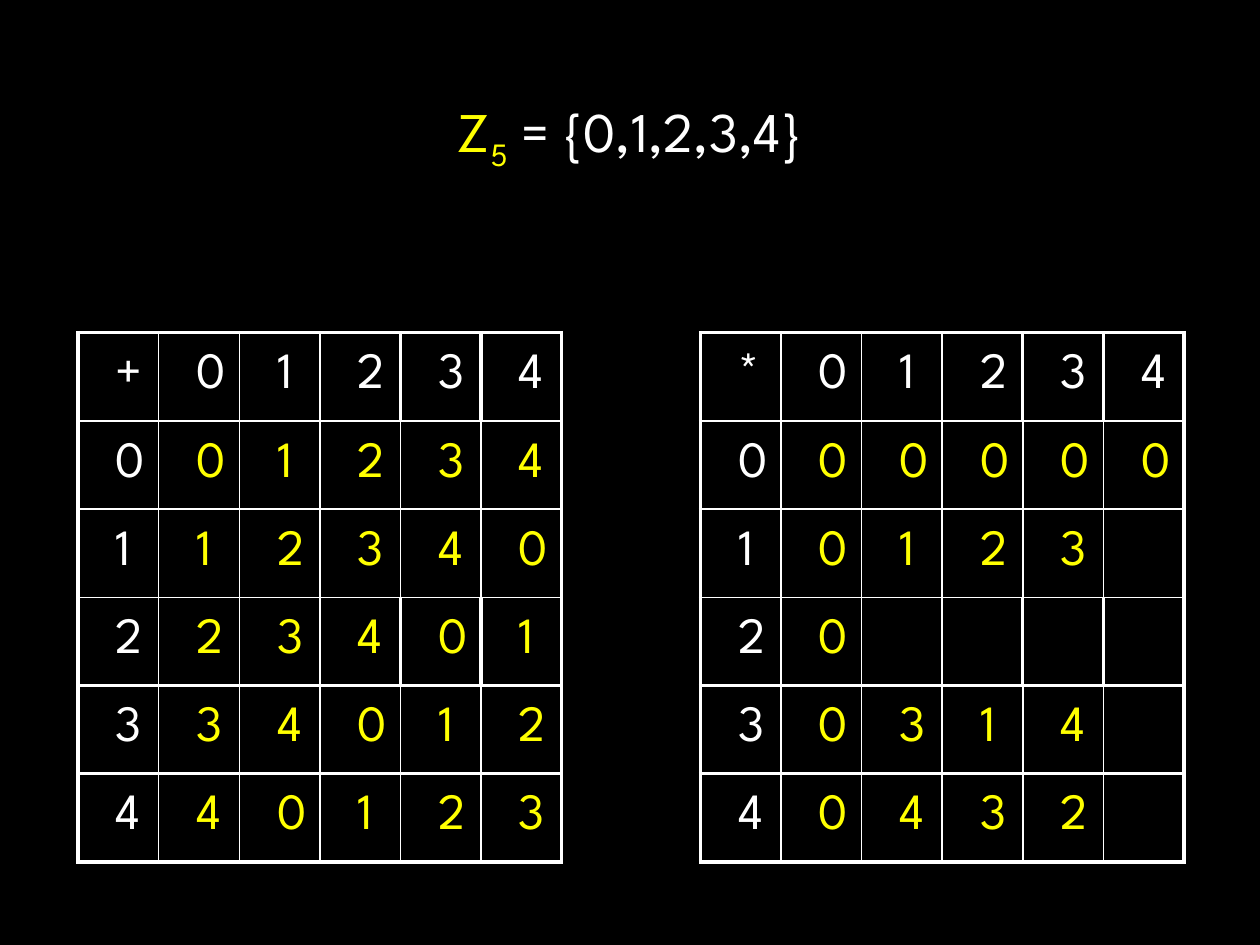
"""Build a slide with the addition and multiplication tables of Z5."""
from dataclasses import dataclass

from lxml.etree import SubElement
from pptx import Presentation
from pptx.dml.color import RGBColor
from pptx.enum.text import MSO_ANCHOR as Anchor, MSO_AUTO_SIZE as AutoSize, PP_ALIGN as Align
from pptx.oxml.ns import qn
from pptx.util import Pt

BLACK = RGBColor(0, 0, 0)
WHITE = RGBColor(255, 255, 255)
YELLOW = RGBColor(255, 255, 0)
FONT = "League Spartan"
COLUMN_WIDTH, ROW_HEIGHT = Pt(45.24), Pt(50.4)
THIN, THICK = Pt(1), Pt(2.25)
THICK_ROW_RULES = {0, 4, 5, 6}
THICK_COLUMN_RULES = {0, 6}
EXTRA_COLUMN_RULES = {4, 5}
EXTRA_RULE_ROWS = {0, 3}


@dataclass(frozen=True)
class Operation:
    left: float
    rows: tuple[str, ...]


OPERATIONS = (
    Operation(44.64, ("+01234", "001234", "112340", "223401", "334012", "440123")),
    Operation(400.32, ("*01234", "000000", "10123", "20", "30314", "40432")),
)


def row_rule(rule: int) -> Pt:
    """Return the weight of a horizontal rule."""
    return THICK if rule in THICK_ROW_RULES else THIN


def column_rule(rule: int, row: int) -> Pt:
    """Return the weight of a vertical rule beside a row."""
    extra = rule in EXTRA_COLUMN_RULES and row in EXTRA_RULE_ROWS
    return THICK if rule in THICK_COLUMN_RULES or extra else THIN


def draw_borders(cell, row: int, column: int) -> None:
    """Outline one table cell in white."""
    weights = {
        "L": column_rule(column, row),
        "R": column_rule(column + 1, row),
        "T": row_rule(row),
        "B": row_rule(row + 1),
    }
    properties = cell._tc.get_or_add_tcPr()
    for side, weight in weights.items():
        line = SubElement(properties, qn(f"a:ln{side}"), w=str(weight))
        fill = SubElement(line, qn("a:solidFill"))
        SubElement(fill, qn("a:srgbClr"), val=str(WHITE))


def draw_table(page, operation: Operation) -> None:
    """Draw one operation table."""
    size = len(operation.rows)
    table = page.shapes.add_table(
        size, size, Pt(operation.left), Pt(190.08), COLUMN_WIDTH * size, ROW_HEIGHT * size
    ).table
    table.first_row = table.horz_banding = False
    for column in table.columns:
        column.width = COLUMN_WIDTH
    for row, symbols in enumerate(operation.rows):
        table.rows[row].height = ROW_HEIGHT
        for column, symbol in enumerate(symbols.ljust(size)):
            cell = table.cell(row, column)
            draw_borders(cell, row, column)
            cell.fill.solid()
            cell.fill.fore_color.rgb = BLACK
            cell.vertical_anchor = Anchor.MIDDLE
            cell.margin_left = cell.margin_right = Pt(21.6)
            cell.margin_top = cell.margin_bottom = Pt(5.76)
            para = cell.text_frame.paragraphs[0]
            para.text = symbol.strip()
            para.font.name = FONT
            para.font.size = Pt(29)
            para.font.color.rgb = YELLOW if row and column else WHITE


def draw_title(page) -> None:
    """Draw the definition of the set."""
    box = page.shapes.add_textbox(Pt(20.88), Pt(51.84), Pt(678.96), Pt(45.36))
    frame = box.text_frame
    frame.word_wrap = True
    frame.auto_size = AutoSize.SHAPE_TO_FIT_TEXT
    para = frame.paragraphs[0]
    para.alignment = Align.CENTER
    para.font.name = FONT
    para.font.size = Pt(32)
    for text, color, baseline in (
        ("Z", YELLOW, 0), ("5", YELLOW, -25000), (" = {0,1,2,3,4}", WHITE, 0)
    ):
        span = para.add_run()
        span.text = text
        span.font.color.rgb = color
        if baseline:
            span._r.get_or_add_rPr().set("baseline", str(baseline))


def main() -> None:
    """Build and save the deck."""
    deck = Presentation()
    deck.slide_width, deck.slide_height = Pt(720), Pt(540)
    page = deck.slides.add_slide(deck.slide_layouts[6])
    page.background.fill.solid()
    page.background.fill.fore_color.rgb = BLACK
    draw_title(page)
    for operation in OPERATIONS:
        draw_table(page, operation)
    deck.save("out.pptx")


if __name__ == "__main__":
    main()
